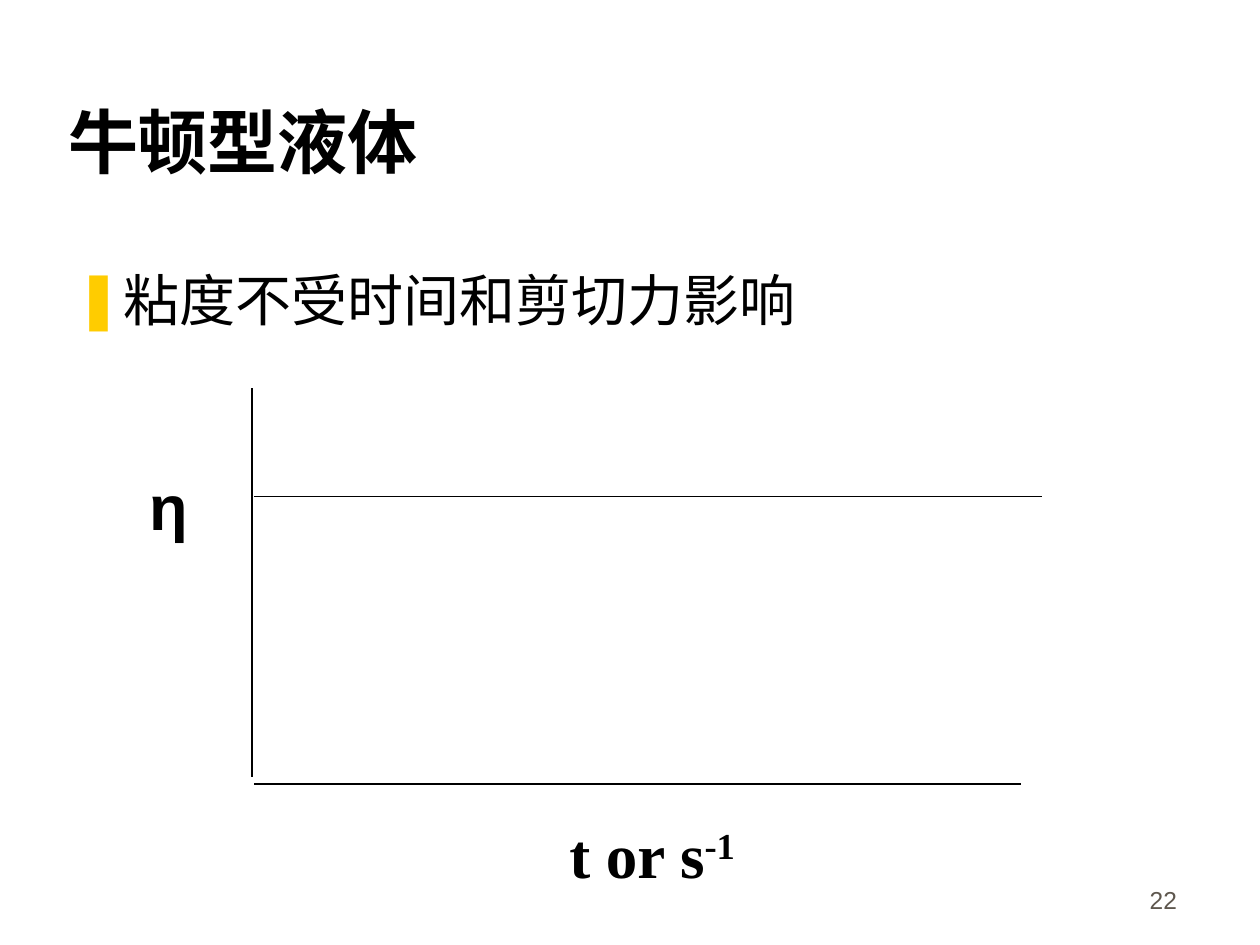
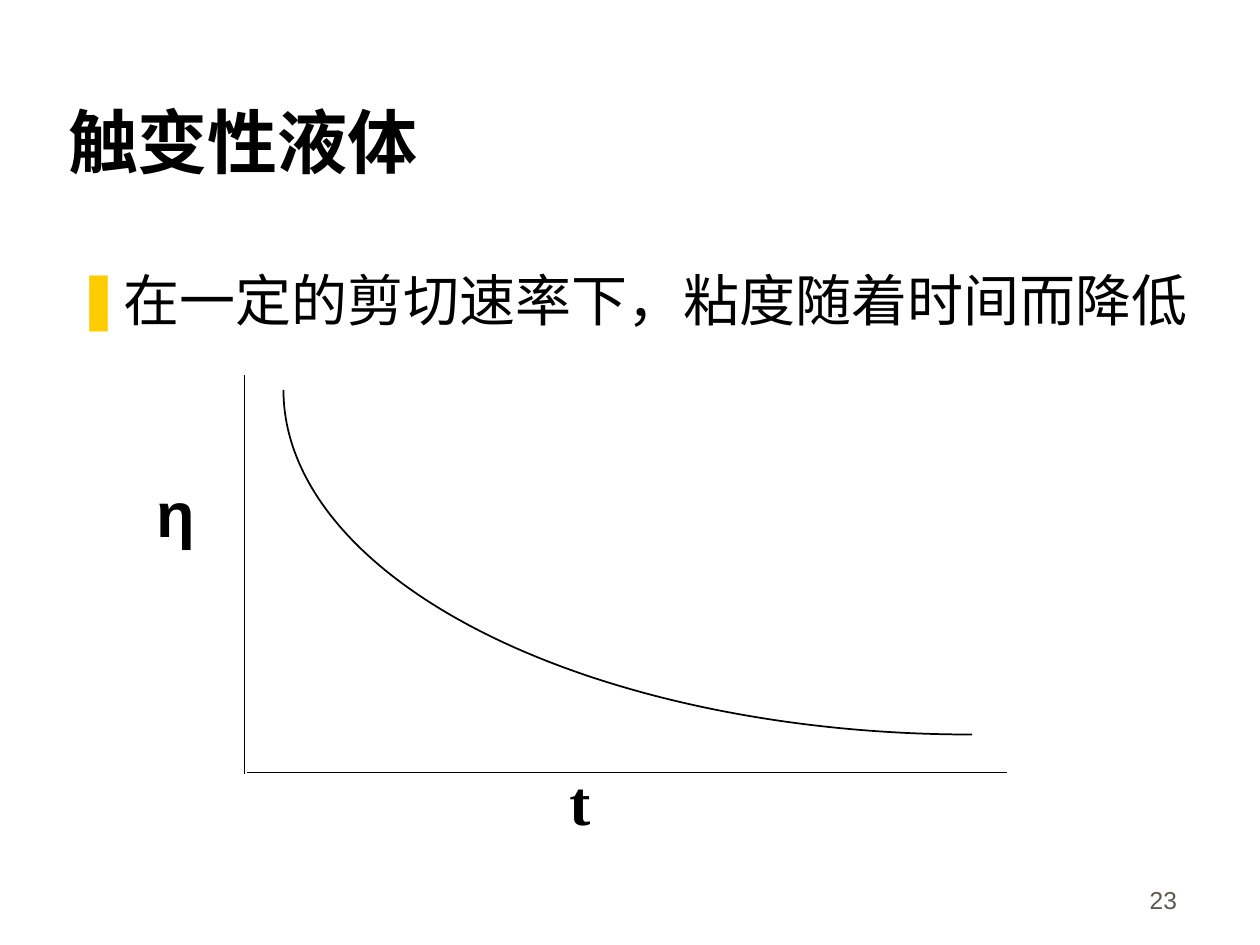
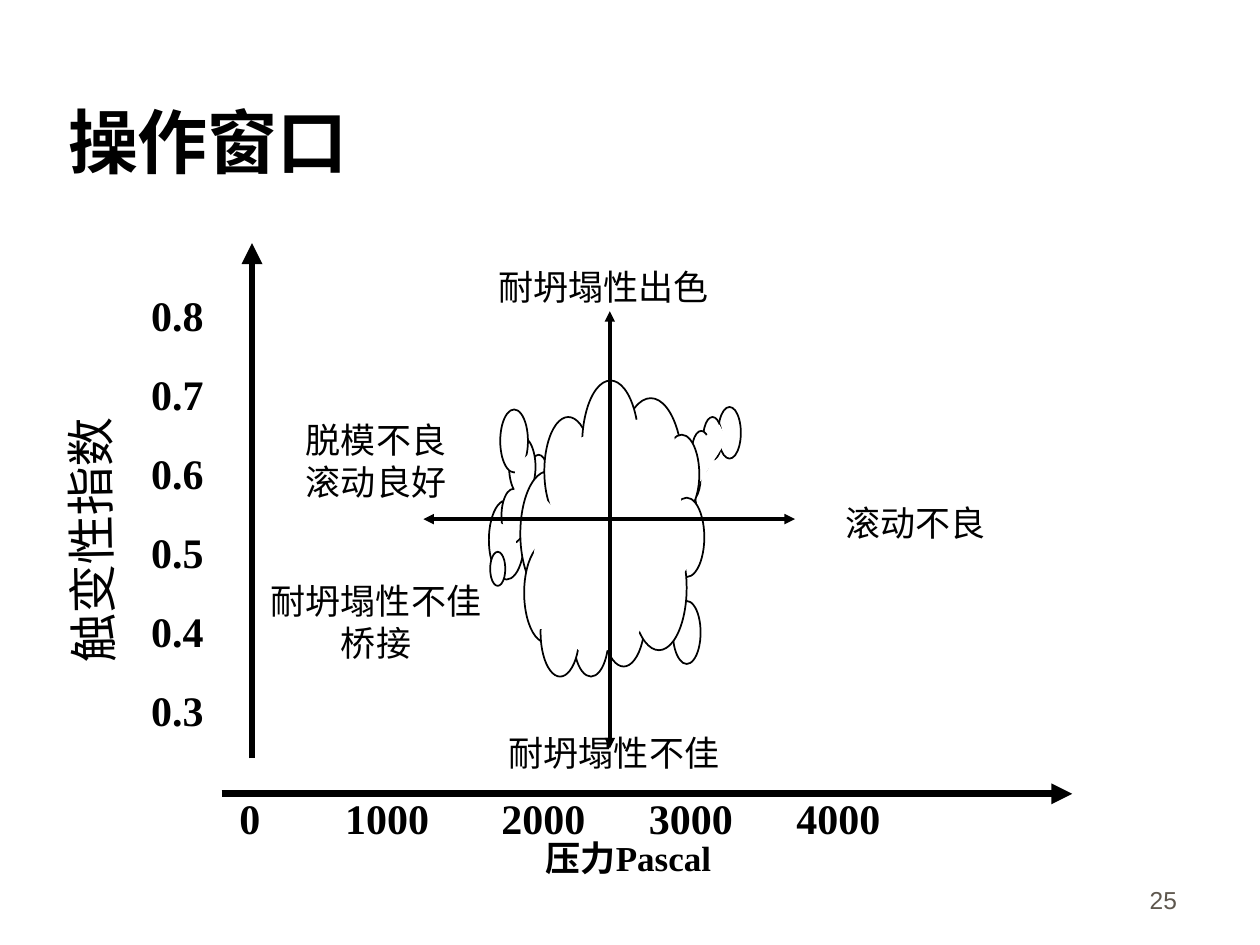
from dataclasses import dataclass
from typing import NamedTuple

from lxml import etree
from pptx import Presentation
from pptx.dml.color import RGBColor
from pptx.enum.shapes import MSO_CONNECTOR, MSO_SHAPE
from pptx.enum.text import MSO_ANCHOR, MSO_AUTO_SIZE, PP_ALIGN
from pptx.oxml.ns import qn
from pptx.util import Emu, Pt

STRAIGHT = MSO_CONNECTOR.STRAIGHT
OVAL, ARC = MSO_SHAPE.OVAL, MSO_SHAPE.ARC
TOP, BOTTOM = MSO_ANCHOR.TOP, MSO_ANCHOR.BOTTOM
LEFT, CENTER, RIGHT = PP_ALIGN.LEFT, PP_ALIGN.CENTER, PP_ALIGN.RIGHT
NO_FIT, GROW = MSO_AUTO_SIZE.NONE, MSO_AUTO_SIZE.SHAPE_TO_FIT_TEXT
EMU_PER_PX = 9144  # 100 px to the inch


@dataclass(frozen=True)
class Theme:
    ink: RGBColor = RGBColor(0, 0, 0)
    paper: RGBColor = RGBColor(255, 255, 255)
    page_grey: RGBColor = RGBColor(0x5E, 0x57, 0x4E)
    bullet: str = "FFCC00"
    serif: str = "Times New Roman"
    sans: str = "Arial"
    title: int = 40
    symbol: int = 36
    body: int = 32
    axis_name: int = 28
    tick: int = 24
    remark: int = 20
    page: int = 14
    thin: int = 1
    cross: int = 2
    axis: int = 4


THEME = Theme()


class Box(NamedTuple):
    left: int
    top: int
    width: int
    height: int

    def inner(self, left, top, width, height):
        """Box given relative to this one's corner."""
        return Box(self.left + left, self.top + top, width, height)


TITLE_BOX = Box(44, 25, 850, 125)
PAGE_BOX = Box(736, 681, 208, 50)

PUFF_RATIO = 2.26  # height of every cloud puff over its width

# Each part: puffs as (left, top, width), then unlined covers that hide inner outlines.
RIGHT_WING = (
    [(148, 170, 15), (154, 177, 22), (145, 77, 28), (161, 63, 15),
     (190, 23, 18), (178, 31, 15), (169, 42, 15)],
    [[(165, 74), (179, 47), (191, 37), (197, 49), (176, 82)]],
)
LEFT_WING = (
    [(40, 61, 15), (8, 97, 28), (33, 82, 15), (24, 47, 21), (17, 25, 22),
     (18, 88, 19), (9, 138, 12)],
    [[(17, 115), (17, 130), (30, 138), (29, 122)],
     [(34, 102), (44, 90), (40, 60), (29, 71), (28, 97)]],
)
CLOUD_BODY = (
    [(98, 152, 34), (75, 174, 28), (33, 74, 44), (111, 16, 51), (52, 31, 38),
     (147, 45, 28), (151, 95, 28), (121, 117, 44), (82, 2, 45), (36, 131, 35),
     (49, 167, 31)],
    [[(128, 200), (122, 213), (82, 219), (61, 197), (45, 200), (43, 145), (50, 93),
      (63, 107), (79, 48), (129, 32), (155, 44), (163, 118), (167, 149)]],
)


def px(length):
    return Emu(length * EMU_PER_PX)


def emu(box):
    return [px(length) for length in box]


def set_font(paragraph, size, name=THEME.serif, bold=False, color=THEME.ink):
    font = paragraph.font
    font.size, font.name, font.bold = Pt(size), name, bold
    font.color.rgb = color


def place(placeholder, box, anchor):
    placeholder.left, placeholder.top, placeholder.width, placeholder.height = emu(box)
    frame = placeholder.text_frame
    frame.auto_size, frame.vertical_anchor = NO_FIT, anchor
    return frame


def add_label(slide, box, lines, size, name=THEME.serif, bold=False, color=THEME.ink,
              align=LEFT, wrap=True, anchor=TOP, gap=0, inset=10, fit=GROW):
    label = slide.shapes.add_textbox(*emu(box))
    frame = label.text_frame
    frame.word_wrap, frame.auto_size, frame.vertical_anchor = wrap, fit, anchor
    frame.margin_left = px(inset)
    frame.text = "\n".join(lines)
    for index, paragraph in enumerate(frame.paragraphs):
        paragraph.alignment = align
        if index and gap:
            paragraph.space_before = Pt(gap)
        set_font(paragraph, size, name, bold, color)
    return label


def add_line(slide, start, end, width=THEME.thin, arrows=()):
    """Draw a line; arrows names the ends ("headEnd", "tailEnd") that carry a triangle."""
    line = slide.shapes.add_connector(STRAIGHT, *emu((*start, *end)))
    line.line.color.rgb, line.line.width = THEME.ink, Pt(width)
    properties = line._element.spPr
    for end_tag in arrows:
        etree.SubElement(properties.find(qn("a:ln")), qn(f"a:{end_tag}"), type="triangle")
    etree.SubElement(properties, qn("a:effectLst"))


def start_slide(deck, layout, title, page, title_font=THEME.serif):
    slide = deck.slides.add_slide(deck.slide_layouts.get_by_name(layout))
    frame = place(slide.shapes.title, TITLE_BOX, BOTTOM)
    frame.text = title
    heading = frame.paragraphs[0]
    heading.alignment = LEFT
    set_font(heading, THEME.title, title_font, bold=True)
    add_label(slide, PAGE_BOX, [page], THEME.page, THEME.sans, color=THEME.page_grey,
              align=RIGHT, anchor=BOTTOM, fit=NO_FIT)
    return slide


def add_statement(slide, box, statement):
    """Fill the body placeholder with one bulleted line."""
    frame = place(slide.placeholders[1], box, TOP)
    frame.text = statement
    paragraph = frame.paragraphs[0]
    paragraph.space_before = Pt(0)
    properties = paragraph._p.get_or_add_pPr()
    properties.set("marL", str(px(38)))
    properties.set("indent", str(-px(38)))
    bullet_color = etree.SubElement(properties, qn("a:buClr"))
    etree.SubElement(bullet_color, qn("a:srgbClr"), val=THEME.bullet)
    etree.SubElement(properties, qn("a:buChar"), char="❚")
    set_font(paragraph, THEME.body)


def add_axes(slide, plot, upright):
    """Draw thin axes along the left and bottom of plot; upright is the vertical length."""
    base = plot.top + plot.height
    add_line(slide, (plot.left, plot.top), (plot.left, plot.top + upright))
    add_line(slide, (plot.left + 2, base), (plot.left + plot.width, base))


def add_viscosity_sign(slide, box):
    add_label(slide, box, ["η"], THEME.symbol, THEME.sans, bold=True, wrap=False)


def newtonian_plot(slide, plot):
    add_axes(slide, plot, upright=309)
    level = plot.top + 86
    add_line(slide, (plot.left + 2, level), (plot.left + 627, level))
    time_or_rate = add_label(slide, plot.inner(242, 334, 173, 70), ["t or s"],
                             THEME.symbol, bold=True)
    exponent = time_or_rate.text_frame.paragraphs[0].add_run()
    exponent.text = "-1"
    exponent._r.get_or_add_rPr().set("baseline", "30000")
    add_viscosity_sign(slide, plot.inner(-91, 58, 50, 70))


def thixotropic_plot(slide, plot):
    add_axes(slide, plot, upright=316)
    decay = slide.shapes.add_shape(ARC, *emu(plot.inner(31, -262, 1093, 547)))
    decay.shadow.inherit = False
    decay.adjustments[0], decay.adjustments[1] = 54, 108  # 90° to 180°
    decay.fill.background()
    decay.line.color.rgb, decay.line.width = THEME.ink, Pt(THEME.thin)
    add_label(slide, plot.inner(248, 302, 36, 70), ["t"], THEME.symbol, bold=True, wrap=False)
    add_viscosity_sign(slide, plot.inner(-80, 74, 50, 70))


def add_cloud(slide, area):
    for puffs, covers in (RIGHT_WING, LEFT_WING, CLOUD_BODY):
        parts = []
        for left, top, width in puffs:
            spot = area.inner(left, top, width, round(width * PUFF_RATIO))
            puff = slide.shapes.add_shape(OVAL, *emu(spot))
            puff.line.color.rgb, puff.line.width = THEME.ink, Pt(THEME.thin)
            parts.append(puff)
        for cover in covers:
            corners = [(area.left + x, area.top + y) for x, y in cover]
            outline = slide.shapes.build_freeform(*corners[0], scale=EMU_PER_PX)
            outline.add_line_segments(corners[1:], close=True)
            patch = outline.convert_to_shape()
            patch.line.fill.background()
            parts.append(patch)
        for part in parts:
            part.shadow.inherit = False
            part.fill.solid()
            part.fill.fore_color.rgb = THEME.paper


def add_window_axes(slide, area):
    left, top = area.left, area.top
    add_line(slide, (left + 24, top + 409), (left + 24, top), THEME.axis, ["tailEnd"])
    add_line(slide, (left, top + 437), (left + 675, top + 437), THEME.axis, ["tailEnd"])

    indexes = [f"0.{tenth}" for tenth in range(8, 2, -1)]
    add_label(slide, area.inner(-66, 32, 92, 365), indexes, THEME.tick, bold=True, gap=16.3)

    pressures = add_label(slide, area.inner(-37, 439, 610, 45),
                          ["\t".join(str(value) for value in range(0, 5000, 1000))],
                          THEME.tick, bold=True, inset=51)
    paragraph = pressures.text_frame.paragraphs[0]
    paragraph.line_spacing = 0.8
    stops = etree.Element(qn("a:tabLst"))
    for position in (84, 208, 325, 442):
        etree.SubElement(stops, qn("a:tab"), pos=str(px(position)), algn="l")
    paragraph._p.pPr.find(qn("a:defRPr")).addprevious(stops)

    index_name = add_label(slide, area.inner(-314, 107, 416, 56), ["触变性指数"],
                           THEME.axis_name, THEME.sans)
    index_name.rotation = 269
    add_label(slide, area.inner(228, 466, 215, 43), ["压力Pascal"], THEME.remark,
              bold=True, inset=29)


def add_remarks(slide, area):
    remarks = [
        ((210, 13, 187, 43), ["耐坍塌性出色"]),
        ((218, 383, 187, 43), ["耐坍塌性不佳"]),
        ((57, 134, 131, 76), ["脱模不良", "滚动良好"]),
        ((29, 262, 187, 76), ["耐坍塌性不佳", "桥接"]),
        ((485, 200, 131, 43), ["滚动不良"]),
    ]
    for spot, lines in remarks:
        add_label(slide, area.inner(*spot), lines, THEME.remark, wrap=False,
                  align=CENTER if len(lines) > 1 else LEFT)


def operating_window(slide, area):
    add_cloud(slide, area.inner(204, 107, 208, 237))
    add_window_axes(slide, area)
    add_remarks(slide, area)
    left, top = area.left, area.top
    for start, end in (((160, 219), (455, 219)), ((308, 401), (308, 54))):
        add_line(slide, (left + start[0], top + start[1]), (left + end[0], top + end[1]),
                 THEME.cross, ["headEnd", "tailEnd"])


def main():
    deck = Presentation()
    deck.slide_width, deck.slide_height = px(1000), px(750)

    newtonian = start_slide(deck, "Title and Content", "牛顿型液体", "22")
    add_statement(newtonian, Box(50, 206, 894, 456), "粘度不受时间和剪切力影响")
    newtonian_plot(newtonian, Box(200, 308, 610, 314))

    thixotropic = start_slide(deck, "Title and Content", "触变性液体", "23")
    add_statement(thixotropic, Box(50, 206, 925, 456), "在一定的剪切速率下，粘度随着时间而降低")
    thixotropic_plot(thixotropic, Box(194, 298, 605, 315))

    window = start_slide(deck, "Title Only", "操作窗口", "25", THEME.sans)
    operating_window(window, Box(176, 193, 675, 437))

    deck.save("out.pptx")


if __name__ == "__main__":
    main()
